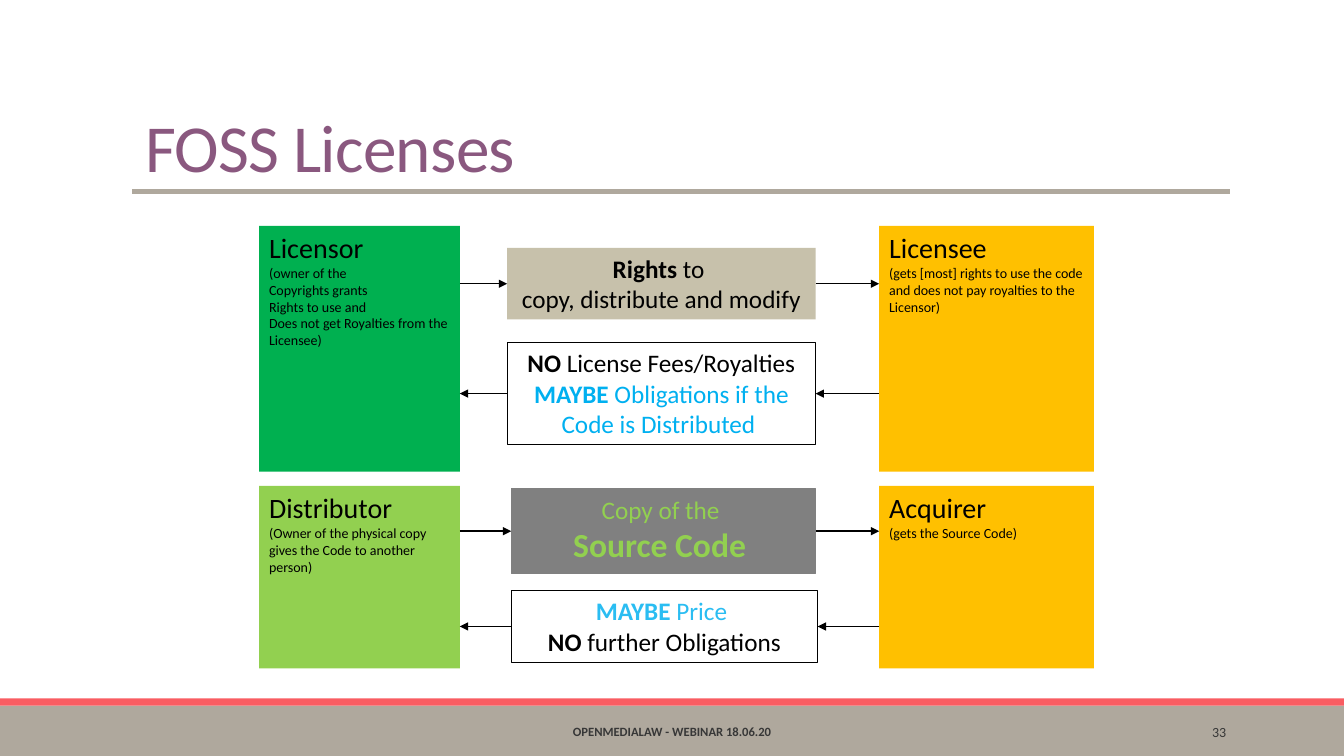
import pptx
import pptx.util
import pptx.dml.color
import pptx.enum.shapes
import pptx.enum.text
import pptx.oxml.ns
import lxml.etree

Inches = pptx.util.Inches
Pt = pptx.util.Pt
ALIGN = pptx.enum.text.PP_ALIGN
ANCHOR = pptx.enum.text.MSO_ANCHOR
RECTANGLE = pptx.enum.shapes.MSO_SHAPE.RECTANGLE
STRAIGHT = pptx.enum.shapes.MSO_CONNECTOR.STRAIGHT
BLACK, LIME, SKY, CYAN = "000000", "92D050", "00B0F0", "2ABDF2"


def color(code):
    return pptx.dml.color.RGBColor.from_string(code)


def write(box, paragraphs, align, anchor=ANCHOR.TOP):
    frame = box.text_frame
    frame.word_wrap = True
    frame.vertical_anchor = anchor
    for index, runs in enumerate(paragraphs):
        para = frame.add_paragraph() if index else frame.paragraphs[0]
        para.alignment = align
        for text, size, code, bold in runs:
            span = para.add_run()
            span.text = text
            span.font.name = "Calibri"
            span.font.size = Pt(size)
            span.font.bold = bold
            span.font.color.rgb = color(code)


deck = pptx.Presentation()
deck.slide_width = Inches(13.33)
deck.slide_height = Inches(7.5)
page = deck.slides.add_slide(deck.slide_layouts[6])
shapes = page.shapes

for top, height, fill in [(7, 0.5, "AFA89D"), (6.93, 0.07, "F95D62")]:
    band = shapes.add_shape(RECTANGLE, 0, Inches(top), deck.slide_width, Inches(height))
    band.shadow.inherit = False
    band.fill.solid()
    band.fill.fore_color.rgb = color(fill)
    band.line.fill.background()

labels = [
    (1.34, 0.31, 7.08, 1.59, "FOSS Licenses", 48, "8A587F", False, ALIGN.LEFT, ANCHOR.BOTTOM),
    (4.03, 7.06, 5.27, 0.4, "OPENMEDIALAW - WEBINAR 18.06.20", 9, "373737", True, ALIGN.CENTER, ANCHOR.MIDDLE),
    (10.83, 7.06, 1.43, 0.4, "33", 10, "373737", False, ALIGN.RIGHT, ANCHOR.MIDDLE),
]
for left, top, width, height, text, size, code, bold, align, anchor in labels:
    label = shapes.add_textbox(Inches(left), Inches(top), Inches(width), Inches(height))
    write(label, [[(text, size, code, bold)]], align, anchor)
    if anchor == ANCHOR.BOTTOM:
        title = label.text_frame.paragraphs[0]
        title.line_spacing = 0.85
        title.runs[0].font._element.set("spc", "-50")

parties = [
    (2.57, 2.24, 1.99, 2.44, "00B050", "Licensor",
     ["(owner of the", "Copyrights grants", "Rights to use and",
      "Does not get Royalties from the Licensee)"]),
    (8.72, 2.24, 2.13, 2.44, "FFC000", "Licensee",
     ["(gets [most] rights to use the code and does not pay royalties to the Licensor)"]),
    (2.57, 4.82, 1.99, 1.81, LIME, "Distributor",
     ["(Owner of the physical copy", "gives the Code to another person)"]),
    (8.72, 4.82, 2.13, 1.81, "FFC000", "Acquirer", ["(gets the Source Code)"]),
]
for left, top, width, height, fill, role, notes in parties:
    party = shapes.add_shape(RECTANGLE, Inches(left), Inches(top), Inches(width), Inches(height))
    party.shadow.inherit = False
    party.fill.solid()
    party.fill.fore_color.rgb = color(fill)
    party.line.fill.background()
    heading = [(role, 20, BLACK, False)]
    write(party, [heading] + [[(note, 10, BLACK, False)] for note in notes], ALIGN.LEFT)

exchanges = [
    (5.03, 2.46, 3.06, 0.71, "C7C1AB", None, True,
     [[("Rights ", 18, BLACK, True), ("to ", 18, BLACK, False)],
      [("copy, distribute and modify", 18, BLACK, False)]]),
    (5.03, 3.4, 3.06, 1.01, None, BLACK, False,
     [[("NO ", 18, BLACK, True), ("License Fees/Royalties", 18, BLACK, False)],
      [("MAYBE ", 18, SKY, True), ("Obligations if the Code is Distributed ", 18, SKY, False)]]),
    (5.07, 4.85, 3.02, 0.84, "808080", "808080", True,
     [[("Copy of the ", 18, LIME, False)], [("Source Code ", 24, LIME, True)]]),
    (5.07, 5.86, 3.04, 0.71, None, BLACK, False,
     [[("MAYBE", 18, CYAN, True), (" Price ", 18, CYAN, False)],
      [("NO ", 18, BLACK, True), ("further Obligations", 18, BLACK, False)]]),
]
lines = [(shapes.add_connector(STRAIGHT, Inches(1.31), Inches(1.9), Inches(12.2), Inches(1.9)),
          "AFA89D", 3)]
for left, top, width, height, fill, outline, rightward, paragraphs in exchanges:
    exchange = shapes.add_shape(RECTANGLE, Inches(left), Inches(top), Inches(width), Inches(height))
    exchange.shadow.inherit = False
    if fill:
        exchange.fill.solid()
        exchange.fill.fore_color.rgb = color(fill)
    else:
        exchange.fill.background()
    if outline:
        exchange.line.color.rgb = color(outline)
        exchange.line.width = Pt(0.75)
    else:
        exchange.line.fill.background()
    write(exchange, paragraphs, ALIGN.CENTER)

    middle = Inches(top + height / 2)
    stops = [Inches(x) for x in (4.56, left, left + width, 8.72)]
    if not rightward:
        stops.reverse()
    entry_side, exit_side = (1, 3) if rightward else (3, 1)
    incoming = shapes.add_connector(STRAIGHT, stops[0], middle, stops[1], middle)
    incoming.end_connect(exchange, entry_side)
    outgoing = shapes.add_connector(STRAIGHT, stops[2], middle, stops[3], middle)
    outgoing.begin_connect(exchange, exit_side)
    lines += [(incoming, BLACK, 1), (outgoing, BLACK, 1)]

for connector, code, weight in lines:
    connector.line.color.rgb = color(code)
    connector.line.width = Pt(weight)
    if weight == 1:
        arrow = lxml.etree.SubElement(connector.line._get_or_add_ln(), pptx.oxml.ns.qn("a:tailEnd"))
        arrow.set("type", "triangle")
    lxml.etree.SubElement(connector._element.spPr, pptx.oxml.ns.qn("a:effectLst"))

deck.save("out.pptx")
